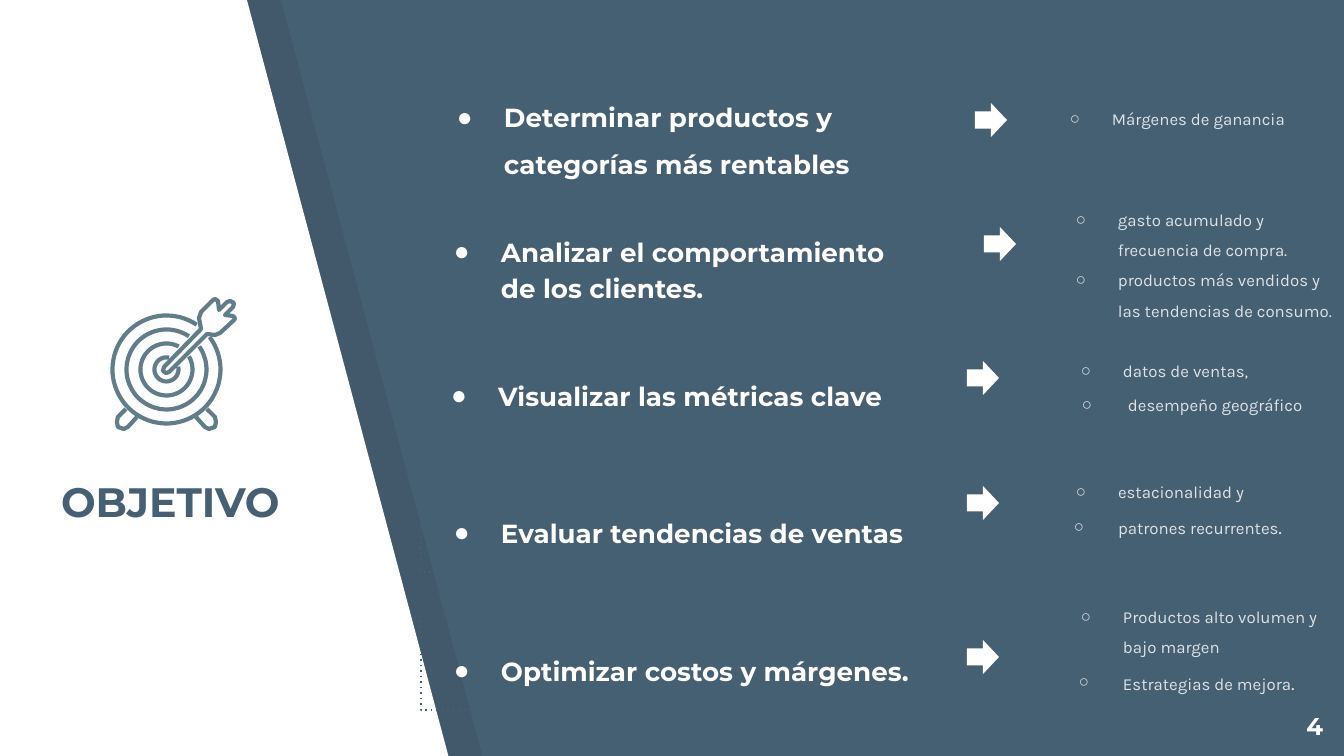
"""Build the objectives slide: title, target icon, five goals and their details."""
import dataclasses
import math

import lxml.etree
import pptx
import pptx.dml.color
import pptx.enum.dml
import pptx.enum.shapes
import pptx.enum.text
import pptx.oxml.ns
import pptx.util

PX = 914400 / 134.4
INSET = 13
FINE = 20
RING_CENTER = (166.5, 369.5)


@dataclasses.dataclass(frozen=True)
class Theme:
    slate: str = "466073"
    white: str = "FFFFFF"
    black: str = "000000"
    pale: str = "DCE2E7"
    icon: str = "607D8B"
    heading_font: str = "Montserrat"
    detail_font: str = "Karla"
    bullet_font: str = "Arial"
    title_size: int = 22
    goal_size: int = 14
    number_size: int = 13
    detail_size: int = 9
    stop_size: int = 11
    outline: float = 0.75
    icon_line: float = 2.25


THEME = Theme()


def px(length):
    return pptx.util.Emu(round(length * PX))


def rgb(color):
    return pptx.dml.color.RGBColor.from_string(color)


def paint(shape, color):
    shape.fill.solid()
    shape.fill.fore_color.rgb = rgb(color)


def place(shape, box):
    shape.left, shape.top, shape.width, shape.height = map(px, box)


def set_frame(shape, anchor):
    frame = shape.text_frame
    frame.word_wrap = True
    frame.auto_size = pptx.enum.text.MSO_AUTO_SIZE.NONE
    frame.vertical_anchor = anchor
    frame.margin_left = frame.margin_right = px(INSET)
    frame.margin_top = frame.margin_bottom = px(INSET)
    return frame


def add_run(paragraph, text, size, font, color, bold=False):
    run = paragraph.add_run()
    run.text = text
    run.font.size = pptx.util.Pt(size)
    run.font.name = font
    run.font.bold = bold
    run.font.color.rgb = rgb(color)


def add_child(parent, tag, **attributes):
    return lxml.etree.SubElement(parent, pptx.oxml.ns.qn(tag), attributes)


def set_indent(paragraph, margin, indent, mark=None, color=None):
    properties = paragraph._p.get_or_add_pPr()
    properties.set("marL", str(px(margin)))
    properties.set("indent", str(px(indent)))
    if mark:
        add_child(add_child(properties, "a:buClr"), "a:srgbClr", val=color)
        add_child(properties, "a:buFont", typeface=THEME.bullet_font)
        add_child(properties, "a:buChar", char=mark)


def next_paragraph(frame, index):
    return frame.add_paragraph() if index else frame.paragraphs[0]


def add_outline(slide, points, closed):
    fine_points = [(x * FINE, y * FINE) for x, y in points]
    builder = slide.shapes.build_freeform(*fine_points[0], scale=PX / FINE)
    builder.add_line_segments(fine_points[1:], close=closed)
    shape = builder.convert_to_shape()
    shape.shadow.inherit = False
    return shape


def add_panel(slide, shift, color, alpha=None):
    corners = [(-3, -1), (-3, 758), (449, 758), (247, 0)]
    panel = add_outline(slide, [(x + shift, y) for x, y in corners], True)
    paint(panel, color)
    panel.line.fill.background()
    if alpha:
        tint = panel.element.spPr.find(".//" + pptx.oxml.ns.qn("a:srgbClr"))
        add_child(tint, "a:alpha", val=str(alpha * 1000))
    slide.shapes.title.element.addprevious(panel.element)


def add_title(slide, text, box):
    title = slide.shapes.title
    place(title, box)
    frame = set_frame(title, pptx.enum.text.MSO_ANCHOR.BOTTOM)
    heading = frame.paragraphs[0]
    heading.alignment = pptx.enum.text.PP_ALIGN.LEFT
    add_run(heading, text, THEME.title_size, THEME.heading_font, THEME.slate, True)


def add_goal(slide, box, lines):
    goal = slide.shapes.add_shape(pptx.enum.shapes.MSO_SHAPE.RECTANGLE, *map(px, box))
    goal.shadow.inherit = False
    goal.fill.background()
    goal.line.color.rgb = rgb(THEME.slate)
    goal.line.width = pptx.util.Pt(THEME.outline)
    goal.line.dash_style = pptx.enum.dml.MSO_LINE.ROUND_DOT
    goal.element.spPr.find(".//" + pptx.oxml.ns.qn("a:prstDash")).set("val", "dot")
    frame = set_frame(goal, pptx.enum.text.MSO_ANCHOR.MIDDLE)
    for index, text in enumerate(lines):
        line = next_paragraph(frame, index)
        line.alignment = pptx.enum.text.PP_ALIGN.LEFT
        line.line_spacing = 1.15 if index else 1.5
        if index:
            set_indent(line, 67, 0)
        else:
            set_indent(line, 67, -47, "●", THEME.white)
        add_run(line, text, THEME.goal_size, THEME.heading_font, THEME.white, True)


def add_arrow(slide, left, top):
    arrow = slide.shapes.add_shape(
        pptx.enum.shapes.MSO_SHAPE.RIGHT_ARROW, *map(px, (left, top, 32, 34)))
    arrow.shadow.inherit = False
    paint(arrow, THEME.white)
    arrow.line.fill.background()


def add_details(slide, box, items, grow):
    details = slide.shapes.add_textbox(*map(px, box))
    frame = set_frame(details, pptx.enum.text.MSO_ANCHOR.MIDDLE)
    if grow:
        frame.auto_size = pptx.enum.text.MSO_AUTO_SIZE.SHAPE_TO_FIT_TEXT
    for index, (text, stop, margin, indent, spacing) in enumerate(items):
        item = next_paragraph(frame, index)
        item.level = 1
        item.line_spacing = spacing
        set_indent(item, margin, indent, "○", THEME.pale)
        add_run(item, text, THEME.detail_size, THEME.detail_font, THEME.pale)
        if stop:
            add_run(item, stop, THEME.stop_size, THEME.detail_font, THEME.pale)


def add_number(slide, text, box):
    number = slide.shapes.add_textbox(*map(px, box))
    frame = set_frame(number, pptx.enum.text.MSO_ANCHOR.TOP)
    frame.paragraphs[0].alignment = pptx.enum.text.PP_ALIGN.RIGHT
    add_run(frame.paragraphs[0], text, THEME.number_size, THEME.heading_font,
            THEME.white, True)


def ring_points(radius, start, end, steps=72):
    angles = [math.radians(start + (end - start) * i / steps) for i in range(steps + 1)]
    x, y = RING_CENTER
    return [(x + radius * math.cos(a), y - radius * math.sin(a)) for a in angles]


def add_target(slide):
    rings = [(54, 56, 397), (40, 56, 395), (26, 62, 390), (12, 77, 373)]
    foot = [(126, 409), (118, 417), (117, 422), (118, 427), (124, 429), (128, 427), (137, 417)]
    dart = [(233, 316), (225, 315), (233, 307), (234, 303), (230, 301), (227, 302),
            (219, 310), (218, 301), (215, 299), (213, 300), (201, 312), (199, 318),
            (201, 329), (164, 367), (163, 371), (166, 373), (169, 372), (207, 334),
            (215, 335), (220, 333), (234, 320), (235, 318)]
    mirrored_foot = [(2 * RING_CENTER[0] - x, y) for x, y in foot]
    strokes = [ring_points(*ring) for ring in rings] + [foot, mirrored_foot, dart]
    for stroke in strokes:
        part = add_outline(slide, stroke, stroke is dart)
        part.fill.background()
        part.line.color.rgb = rgb(THEME.icon)
        part.line.width = pptx.util.Pt(THEME.icon_line)


def main():
    deck = pptx.Presentation()
    deck.slide_width, deck.slide_height = px(1344), px(756)
    slide = deck.slides.add_slide(deck.slide_layouts[5])
    paint(slide.background, THEME.slate)
    add_panel(slide, 34, THEME.black, 7)
    add_panel(slide, 0, THEME.white)
    add_title(slide, "OBJETIVO", (48, 468, 253, 71))
    plain = ("", 134, -42, 1.5)
    stopped = (".", 134, -44, 1.5)
    objectives = [
        ((424, 86, 570, 94), ["Determinar productos y categorías más rentables"], (975, 103),
         (965, 75, 370, 78), [("Márgenes de ganancia", *plain)], False),
        ((421, 215, 575, 94), ["Analizar el comportamiento", "de los clientes."], (984, 227),
         (971, 190, 380, 140),
         [("gasto acumulado y frecuencia de compra.", *plain),
          ("productos más vendidos y las tendencias de consumo.", *plain)], False),
        ((418, 341, 582, 94), ["Visualizar las métricas clave"], (967, 361),
         (976, 344, 347, 78), [("datos de ventas,", *plain),
                               ("desempeño geográfico", "", 139, -46, 1.67)], False),
        ((421, 478, 515, 94), ["Evaluar tendencias de ventas"], (967, 486),
         (971, 464, 370, 82), [("estacionalidad y", *plain),
                               ("patrones recurrentes", *stopped)], True),
        ((421, 616, 540, 94), ["Optimizar costos y márgenes."], (967, 640),
         (976, 589, 370, 113), [("Productos alto volumen y bajo margen", *plain),
                                ("Estrategias de mejora", *stopped)], True),
    ]
    for goal_box, lines, arrow, detail_box, items, grow in objectives:
        add_goal(slide, goal_box, lines)
        add_arrow(slide, *arrow)
        add_details(slide, detail_box, items, grow)
    add_number(slide, "4", (1255, 698, 81, 58))
    add_target(slide)
    deck.save("out.pptx")


if __name__ == "__main__":
    main()
